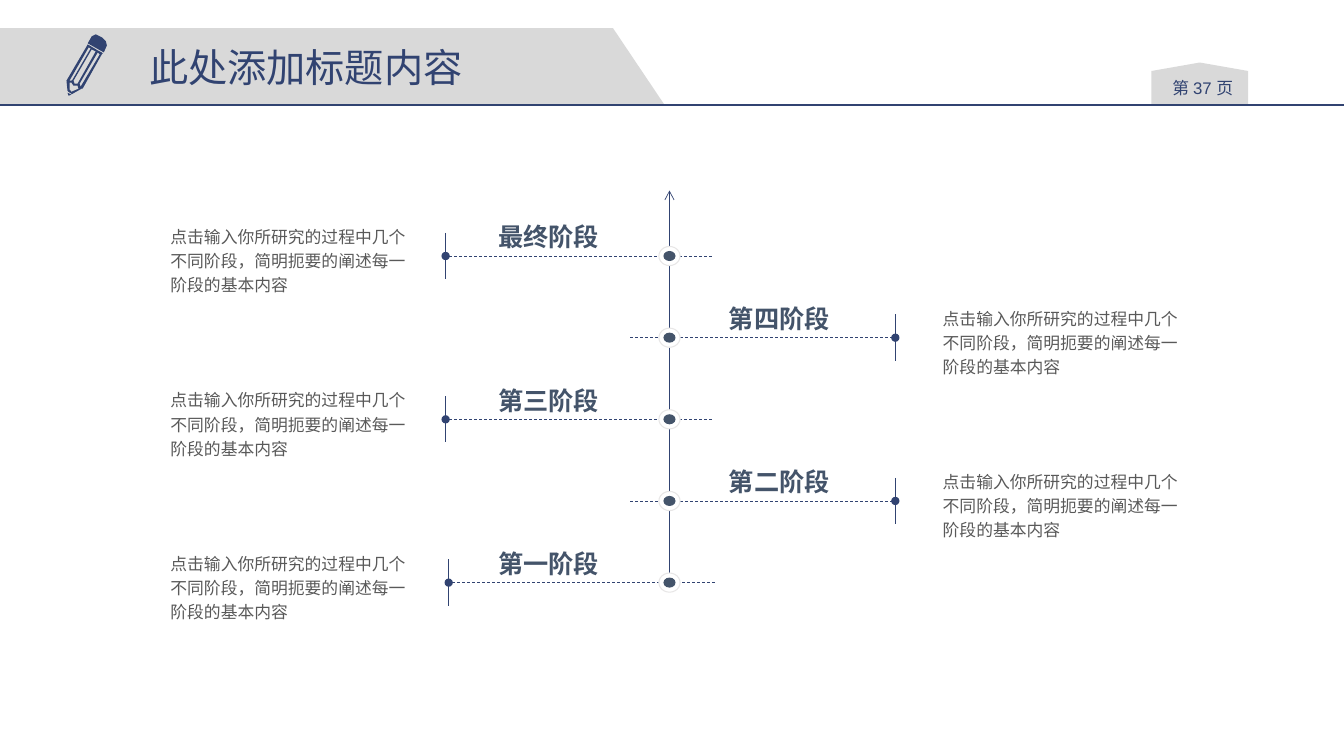
"""Build a title slide body with a five-stage vertical timeline."""
from dataclasses import dataclass

from lxml import etree
from pptx import Presentation
from pptx.dml.color import RGBColor
from pptx.enum.dml import MSO_LINE
from pptx.enum.shapes import MSO_CONNECTOR, MSO_SHAPE
from pptx.enum.text import MSO_ANCHOR, PP_ALIGN
from pptx.oxml.ns import qn
from pptx.util import Inches, Pt

STRAIGHT = MSO_CONNECTOR.STRAIGHT
DASH = MSO_LINE.DASH
OVAL = MSO_SHAPE.OVAL
BADGE = MSO_SHAPE.FLOWCHART_OFFPAGE_CONNECTOR
TOP, MIDDLE = MSO_ANCHOR.TOP, MSO_ANCHOR.MIDDLE
LEFT, CENTER = PP_ALIGN.LEFT, PP_ALIGN.CENTER

GRID = Inches(0.01)
COLS, ROWS = 1333, 750
HEAD = 104
AXIS = 664
FIRST, PITCH = 254, 81
SANS, ARIAL = "Noto Sans CJK SC", "Arial"
NOTE = "点击输入你所研究的过程中几个不同阶段，简明扼要的阐述每一阶段的基本内容"
COLORS = {"navy": "314371", "slate": "44546A", "gray": "595959",
          "panel": "D9D9D9", "ring": "E7E6E6", "white": "FFFFFF"}

BANNER = [[(0, 28), (608, 28), (659, HEAD), (0, HEAD)]]
PENCIL = [
    [[(91, 36), (95, 34), (101, 37), (105, 41), (106, 45), (103, 52), (87, 43)]],
    [[(66, 80), (67, 90), (68, 91), (71, 93), (72, 93), (81, 88), (82, 88),
      (101, 54), (102, 53), (101, 52), (97, 50), (92, 47), (87, 44), (86, 46)],
     [(69, 80), (88, 47), (90, 48), (72, 79), (71, 80)],
     [(71, 91), (69, 89), (69, 82), (71, 82), (73, 85), (77, 85), (78, 88)],
     [(73, 80), (91, 49), (95, 51), (77, 83), (74, 83)],
     [(80, 86), (79, 83), (97, 52), (99, 54)]],
    [[(71, 94), (67, 92), (68, 95)]],
]


@dataclass
class Side:
    start: int
    end: int
    label: int
    note: int


@dataclass
class Stage:
    name: str
    side: Side
    shift: int = 0


WEST = Side(706, 442, 494, 169)
EAST = Side(625, 888, 723, 935)
STAGES = [Stage("最终阶段", WEST), Stage("第四阶段", EAST),
          Stage("第三阶段", WEST), Stage("第二阶段", EAST),
          Stage("第一阶段", WEST, 3)]


def tint(name: str) -> RGBColor:
    return RGBColor.from_string(COLORS[name])


def paint(shape, fill: str, edge: str = "") -> None:
    shape.shadow.inherit = False
    shape.fill.solid()
    shape.fill.fore_color.rgb = tint(fill)
    if edge:
        shape.line.color.rgb = tint(edge)
        shape.line.width = Pt(0.75)
    else:
        shape.line.fill.background()


def outline(slide, loops: list, fill: str) -> None:
    pen = slide.shapes.build_freeform(*loops[0][0], scale=GRID)
    for loop in loops:
        if loop is not loops[0]:
            pen.move_to(*loop[0])
        pen.add_line_segments(loop[1:], close=True)
    paint(pen.convert_to_shape(), fill)


def form(slide, kind, x: float, y: float, wide: float, high: float,
         fill: str, edge: str = ""):
    shape = slide.shapes.add_shape(
        kind, *(round(v * GRID) for v in (x, y, wide, high)))
    paint(shape, fill, edge)
    return shape


def rule(slide, x1: int, y1: int, x2: int, y2: int, width: float = 0.5,
         dash: bool = False, tail: str = "") -> None:
    line = slide.shapes.add_connector(
        STRAIGHT, *(v * GRID for v in (x1, y1, x2, y2)))
    line.line.color.rgb = tint("navy")
    line.line.width = Pt(width)
    if dash:
        line.line.dash_style = DASH
    if tail:
        etree.SubElement(line.line._get_or_add_ln(), qn("a:tailEnd"), type=tail)
    etree.SubElement(line.element.spPr, qn("a:effectLst"))


def box(slide, x: int, y: int, wide: int, high: int):
    return slide.shapes.add_textbox(*(v * GRID for v in (x, y, wide, high)))


def write(shape, *runs: tuple[str, str], size: int, color: str,
          bold: bool = False, align=LEFT, anchor=TOP, wrap: bool = True,
          inset: tuple[int, int] = (0, 0), lead: float = 0) -> None:
    frame = shape.text_frame
    frame.word_wrap = wrap
    frame.vertical_anchor = anchor
    frame.margin_left = frame.margin_right = inset[0] * GRID
    frame.margin_top = frame.margin_bottom = inset[1] * GRID
    para = frame.paragraphs[0]
    para.alignment = align
    if lead:
        para.line_spacing = Pt(lead)
    for text, face in runs:
        run = para.add_run()
        run.text = text
        run.font.size = Pt(size)
        run.font.bold = bold
        run.font.color.rgb = tint(color)
        run.font.name = face
        etree.SubElement(run._r.get_or_add_rPr(), qn("a:ea"), typeface=SANS)


def header(slide) -> None:
    outline(slide, BANNER, "panel")
    form(slide, BADGE, 1142, 62, 96, 42, "panel").rotation = 180
    write(box(slide, 1148, 72, 90, 30), ("第 ", SANS), ("37 ", ARIAL),
          ("页", SANS), size=12, color="navy", align=CENTER, anchor=MIDDLE,
          inset=(7, 4))
    rule(slide, 0, HEAD, COLS, HEAD, width=1)
    for part in PENCIL:
        outline(slide, part, "navy")
    title = slide.shapes.title
    title.left, title.top = 138 * GRID, 38 * GRID
    title.width, title.height = 334 * GRID, 57 * GRID
    title.element.getparent().append(title.element)
    write(title, ("此处添加标题内容", SANS), size=28, color="navy",
          anchor=MIDDLE, wrap=False, inset=(10, 5))


def branch(slide, stage: Stage, y: int) -> None:
    side = stage.side
    end = side.end + stage.shift
    rule(slide, side.start + stage.shift, y, end, y, dash=True, tail="oval")
    rule(slide, end, y - 23, end, y + 23)
    write(box(slide, side.label, y - 34, 118, 30), (stage.name, SANS),
          size=18, color="slate", bold=True, anchor=MIDDLE)
    write(box(slide, side.note, y - 33, 241, 72), (NOTE, SANS),
          size=12, color="gray", lead=17.3)


def node(slide, y: int) -> None:
    for wide, high, fill, edge in ((21, 19, "white", "ring"),
                                   (12, 10, "slate", "")):
        form(slide, OVAL, AXIS - wide / 2, y - high / 2, wide, high, fill, edge)


def main() -> None:
    deck = Presentation()
    deck.slide_width, deck.slide_height = COLS * GRID, ROWS * GRID
    slide = deck.slides.add_slide(deck.slide_layouts[5])
    header(slide)
    levels = [FIRST + PITCH * i for i in range(len(STAGES))]
    for stage, y in zip(STAGES, levels):
        branch(slide, stage, y)
    rule(slide, AXIS, 586, AXIS, 189, tail="arrow")
    for y in levels:
        node(slide, y)
    deck.save("out.pptx")


if __name__ == "__main__":
    main()
